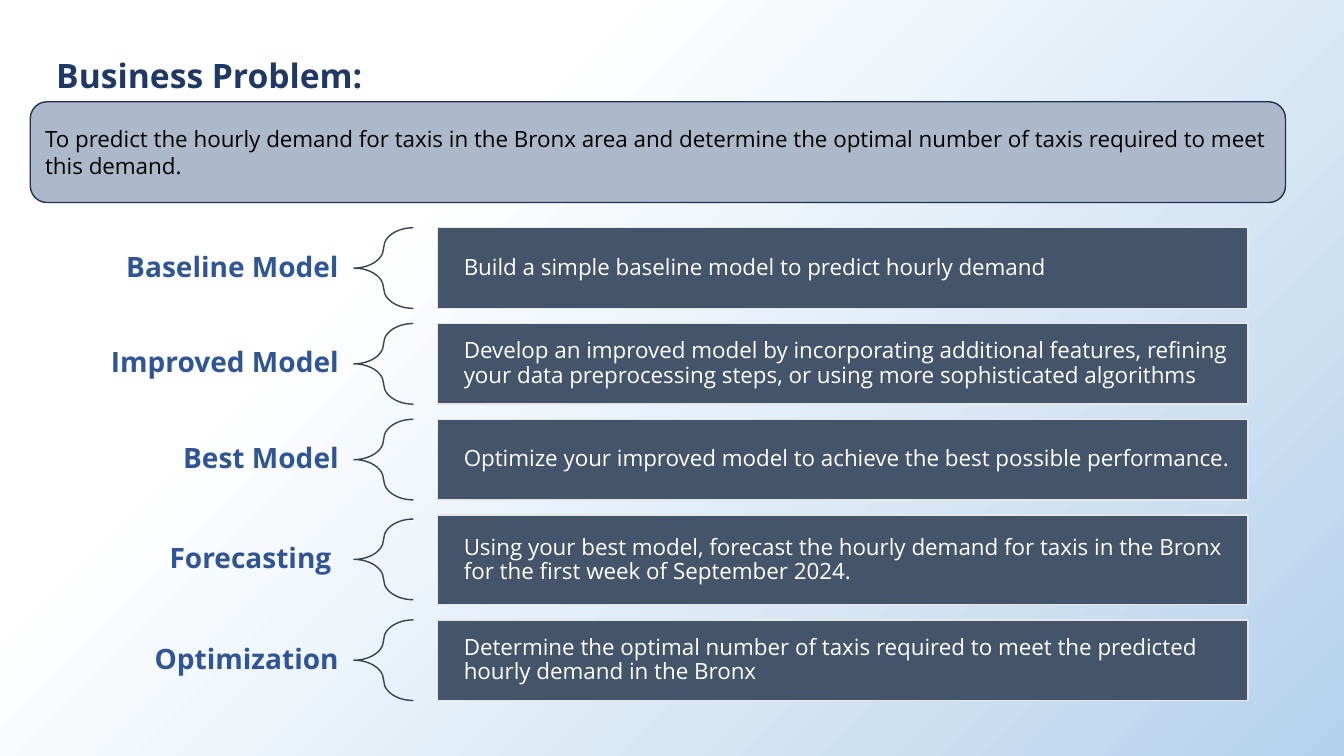
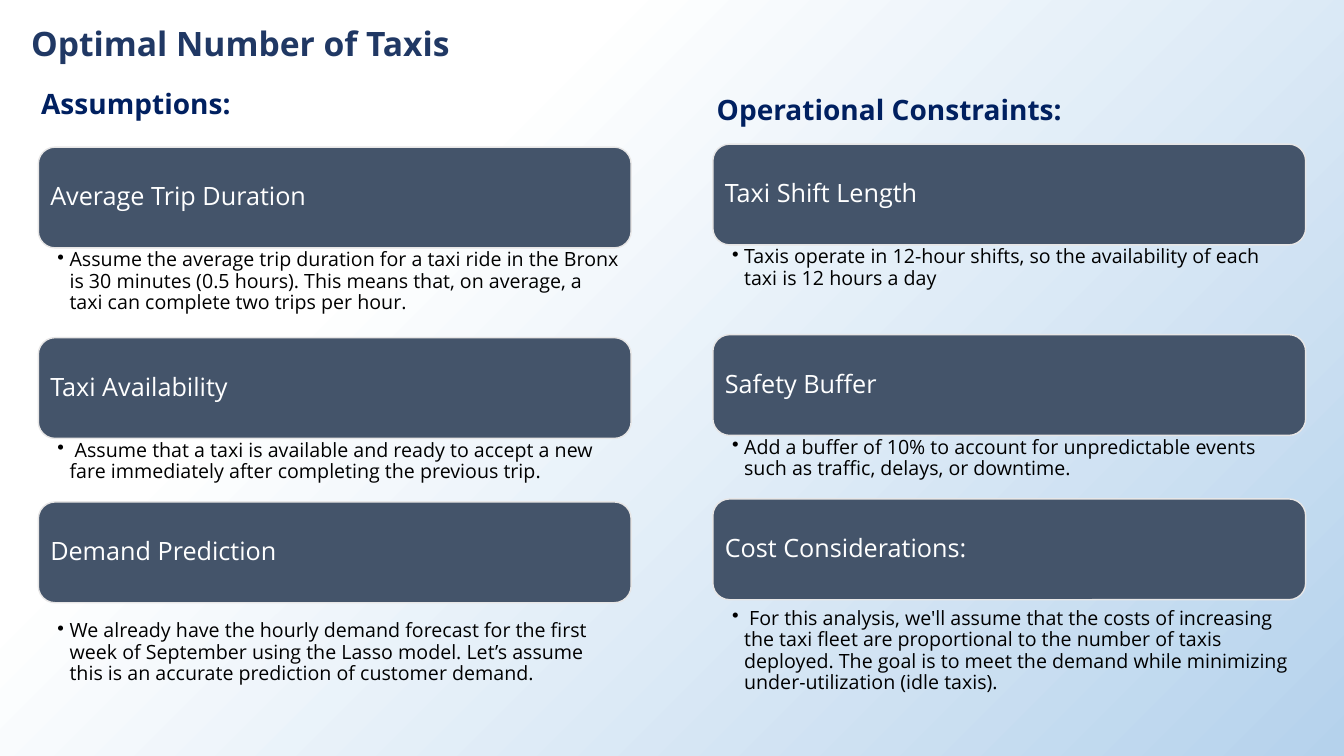
from dataclasses import dataclass
from typing import NamedTuple

from lxml.etree import SubElement
from pptx import Presentation
from pptx.dml.color import RGBColor
from pptx.enum.shapes import MSO_SHAPE as Preset
from pptx.enum.text import MSO_ANCHOR as Anchor, PP_ALIGN as Align
from pptx.oxml.ns import qn
from pptx.shapes.autoshape import Shape
from pptx.slide import Slide, SlideMaster
from pptx.util import Pt

EMU_PER_PX = 9144
FONT = "Open Sans"
COLORS = {
    "white": "FFFFFF",
    "black": "000000",
    "sky": "B5D2EC",
    "title": "203864",
    "heading": "002060",
    "label": "2F5597",
    "slate": "44546A",
    "edge": "E7E6E6",
    "brace": "364355",
    "banner": "ADB9CA",
    "banner_edge": "1E3256",
}


class Box(NamedTuple):
    left: int
    top: int
    width: int
    height: int


class Insets(NamedTuple):
    left: int = 10
    top: int = 5
    right: int = 10
    bottom: int = 5


@dataclass(frozen=True)
class TextStyle:
    size: int
    color: str
    bold: bool = False
    align: Align = Align.LEFT
    anchor: Anchor = Anchor.MIDDLE
    line_spacing: float = 0.9
    insets: Insets = Insets()
    bullet_indent: int = 0


@dataclass(frozen=True)
class Step:
    label: str
    task: str
    height: int = 80


@dataclass(frozen=True)
class Card:
    title: str
    detail: str
    detail_gap: int = 0
    detail_height: int = 89


@dataclass(frozen=True)
class Column:
    heading: str
    heading_left: int
    heading_top: int
    left: int
    top: int
    cards: tuple[Card, ...]


TITLE = TextStyle(24, "title", bold=True, anchor=Anchor.TOP, line_spacing=1.0)
HEADING = TextStyle(20, "heading", bold=True, anchor=Anchor.TOP, line_spacing=1.0)
BANNER = TextStyle(16, "black", line_spacing=1.0)
STEP_LABEL = TextStyle(20, "label", bold=True, align=Align.RIGHT, insets=Insets(16, 6, 16, 6))
STEP_TASK = TextStyle(16, "white", insets=Insets(26, 7, 7, 7))
CARD_TITLE = TextStyle(18, "white", insets=Insets(7, 7, 7, 7))
CARD_DETAIL = TextStyle(
    14, "black", anchor=Anchor.TOP, insets=Insets(19, 2, 11, 2), bullet_indent=12
)

STEPS_TOP = 226
STEP_GAP = 15
BRACE_HEIGHT = 80
CARD_WIDTH = 588
CARD_HEIGHT = 100
CARD_OFFSETS = (0, 189, 352)

STEPS = (
    Step("Baseline Model", "Build a simple baseline model to predict hourly demand"),
    Step(
        "Improved Model",
        "Develop an improved model by incorporating additional features, refining "
        "your data preprocessing steps, or using more sophisticated algorithms",
    ),
    Step("Best Model", "Optimize your improved model to achieve the best possible performance."),
    Step(
        "Forecasting ",
        "Using your best model, forecast the hourly demand for taxis in the Bronx "
        "for the first week of September 2024.",
        height=89,
    ),
    Step(
        "Optimization",
        "Determine the optimal number of taxis required to meet the predicted "
        "hourly demand in the Bronx",
    ),
)

COLUMNS = (
    Column("Assumptions:", 31, 81, 38, 146, (
        Card(
            "Average Trip Duration",
            "Assume the average trip duration for a taxi ride in the Bronx is 30 minutes "
            "(0.5 hours). This means that, on average, a taxi can complete two trips per hour.",
        ),
        Card(
            "Taxi Availability",
            " Assume that a taxi is available and ready to accept a new fare immediately "
            "after completing the previous trip.",
        ),
        Card(
            "Demand Prediction",
            "We already have the hourly demand forecast for the first week of September "
            "using the Lasso model. Let’s assume this is an accurate prediction of "
            "customer demand.",
            detail_gap=16,
        ),
    )),
    Column("Operational Constraints:", 701, 87, 707, 143, (
        Card(
            "Taxi Shift Length",
            "Taxis operate in 12-hour shifts, so the availability of each taxi is "
            "12 hours a day",
        ),
        Card(
            "Safety Buffer",
            "Add a buffer of 10% to account for unpredictable events such as traffic, "
            "delays, or downtime.",
        ),
        Card(
            "Cost Considerations:",
            " For this analysis, we'll assume that the costs of increasing the taxi fleet "
            "are proportional to the number of taxis deployed. The goal is to meet the "
            "demand while minimizing under-utilization (idle taxis).",
            detail_gap=7,
            detail_height=100,
        ),
    )),
)


def px(length: int) -> int:
    return length * EMU_PER_PX


def rgb(name: str) -> RGBColor:
    return RGBColor.from_string(COLORS[name])


def write(shape: Shape, text: str, style: TextStyle) -> None:
    frame = shape.text_frame
    frame.word_wrap = True
    frame.vertical_anchor = style.anchor
    frame.margin_left, frame.margin_top, frame.margin_right, frame.margin_bottom = map(
        px, style.insets
    )
    paragraph = frame.paragraphs[0]
    paragraph.text = text
    paragraph.alignment = style.align
    paragraph.line_spacing = style.line_spacing
    if style.bullet_indent:
        properties = paragraph._p.get_or_add_pPr()
        properties.set("marL", str(px(style.bullet_indent)))
        properties.set("indent", str(-px(style.bullet_indent)))
        SubElement(properties, qn("a:buChar")).set("char", "•")
    font = paragraph.font
    font.name = FONT
    font.size = Pt(style.size)
    font.bold = style.bold
    font.color.rgb = rgb(style.color)


def add_text(slide: Slide, box: Box, text: str, style: TextStyle) -> None:
    write(slide.shapes.add_textbox(*map(px, box)), text, style)


def add_preset(slide: Slide, preset: Preset, box: Box, line: str, fill: str = "") -> Shape:
    shape = slide.shapes.add_shape(preset, *map(px, box))
    shape.shadow.inherit = False
    shape.line.color.rgb = rgb(line)
    shape.line.width = Pt(1)
    if fill:
        shape.fill.solid()
        shape.fill.fore_color.rgb = rgb(fill)
    else:
        shape.fill.background()
    return shape


def paint_background(master: SlideMaster) -> None:
    fill = master.background.fill
    fill.gradient()
    fill.gradient_angle = 315
    for stop, (position, color) in zip(fill.gradient_stops, ((0.29, "white"), (1.0, "sky"))):
        stop.position = position
        stop.color.rgb = rgb(color)


def add_step(slide: Slide, step: Step, top: int) -> None:
    brace_top = top + (step.height - BRACE_HEIGHT) // 2
    add_text(slide, Box(56, brace_top, 296, BRACE_HEIGHT), step.label, STEP_LABEL)
    brace = add_preset(
        slide, Preset.LEFT_BRACE, Box(351, brace_top, 59, BRACE_HEIGHT), "brace"
    )
    brace.adjustments[0] = 0.35
    task = add_preset(slide, Preset.RECTANGLE, Box(434, top, 804, step.height), "edge", "slate")
    write(task, step.task, STEP_TASK)


def add_card(slide: Slide, card: Card, left: int, top: int) -> None:
    header = add_preset(
        slide,
        Preset.ROUNDED_RECTANGLE,
        Box(left, top, CARD_WIDTH, CARD_HEIGHT),
        "edge",
        "slate",
    )
    write(header, card.title, CARD_TITLE)
    detail_top = top + CARD_HEIGHT + card.detail_gap
    add_text(
        slide, Box(left, detail_top, CARD_WIDTH, card.detail_height), card.detail, CARD_DETAIL
    )


def build_problem_slide(slide: Slide) -> None:
    add_text(slide, Box(46, 50, 417, 50), "Business Problem:", TITLE)
    top = STEPS_TOP
    for step in STEPS:
        add_step(slide, step, top)
        top += step.height + STEP_GAP
    banner = add_preset(
        slide, Preset.ROUNDED_RECTANGLE, Box(30, 101, 1245, 100), "banner_edge", "banner"
    )
    write(
        banner,
        "To predict the hourly demand for taxis in the Bronx area and determine the "
        "optimal number of taxis required to meet this demand.",
        BANNER,
    )


def build_taxis_slide(slide: Slide) -> None:
    add_text(slide, Box(21, 18, 1155, 50), "Optimal Number of Taxis", TITLE)
    for column in COLUMNS:
        heading_box = Box(column.heading_left, column.heading_top, 369, 44)
        add_text(slide, heading_box, column.heading, HEADING)
        for offset, card in zip(CARD_OFFSETS, column.cards):
            add_card(slide, card, column.left, column.top + offset)


def main() -> None:
    presentation = Presentation()
    presentation.slide_width = px(1333)
    presentation.slide_height = px(750)
    paint_background(presentation.slide_master)
    blank_layout = presentation.slide_layouts[6]
    for build in (build_problem_slide, build_taxis_slide):
        build(presentation.slides.add_slide(blank_layout))
    presentation.save("out.pptx")


if __name__ == "__main__":
    main()
